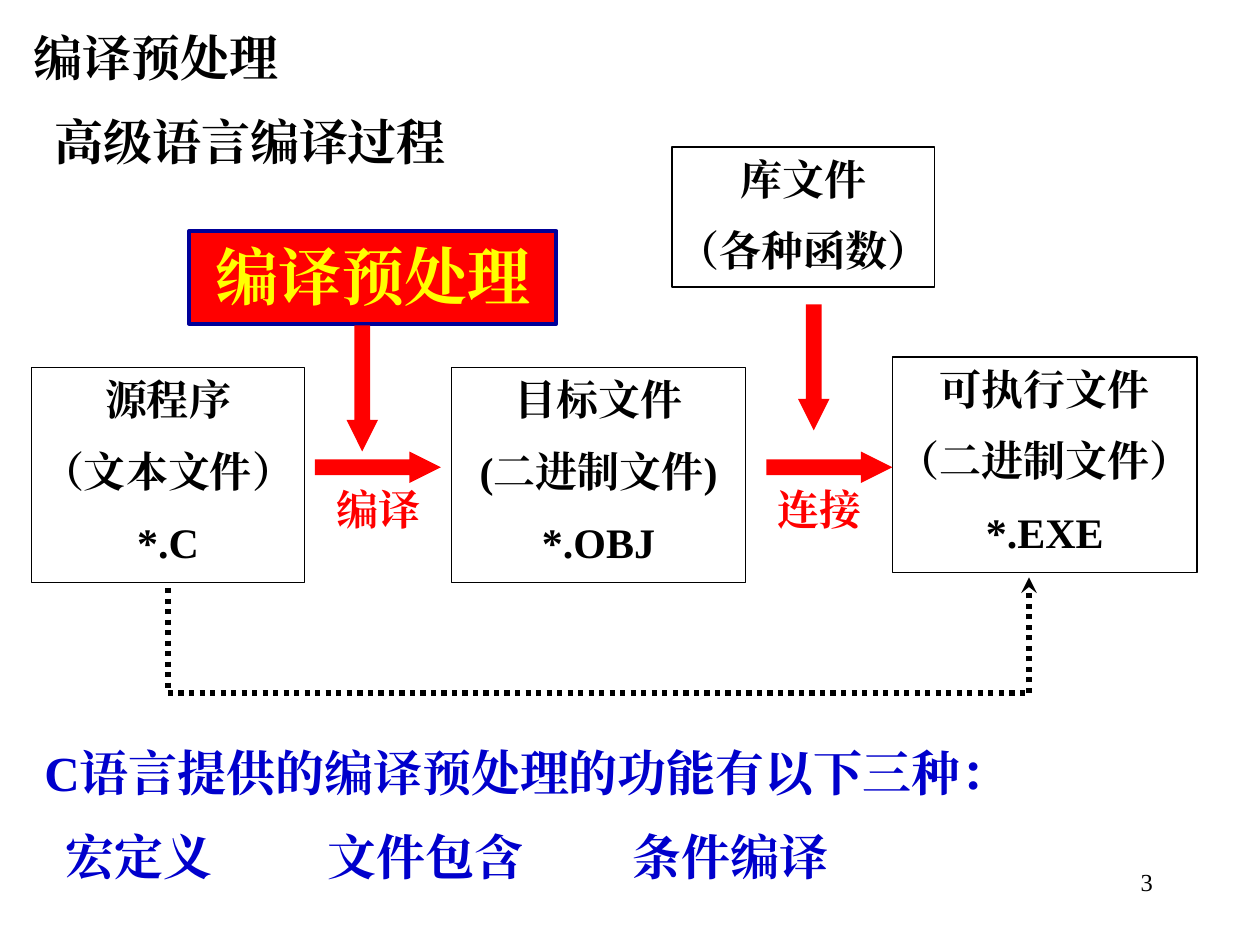
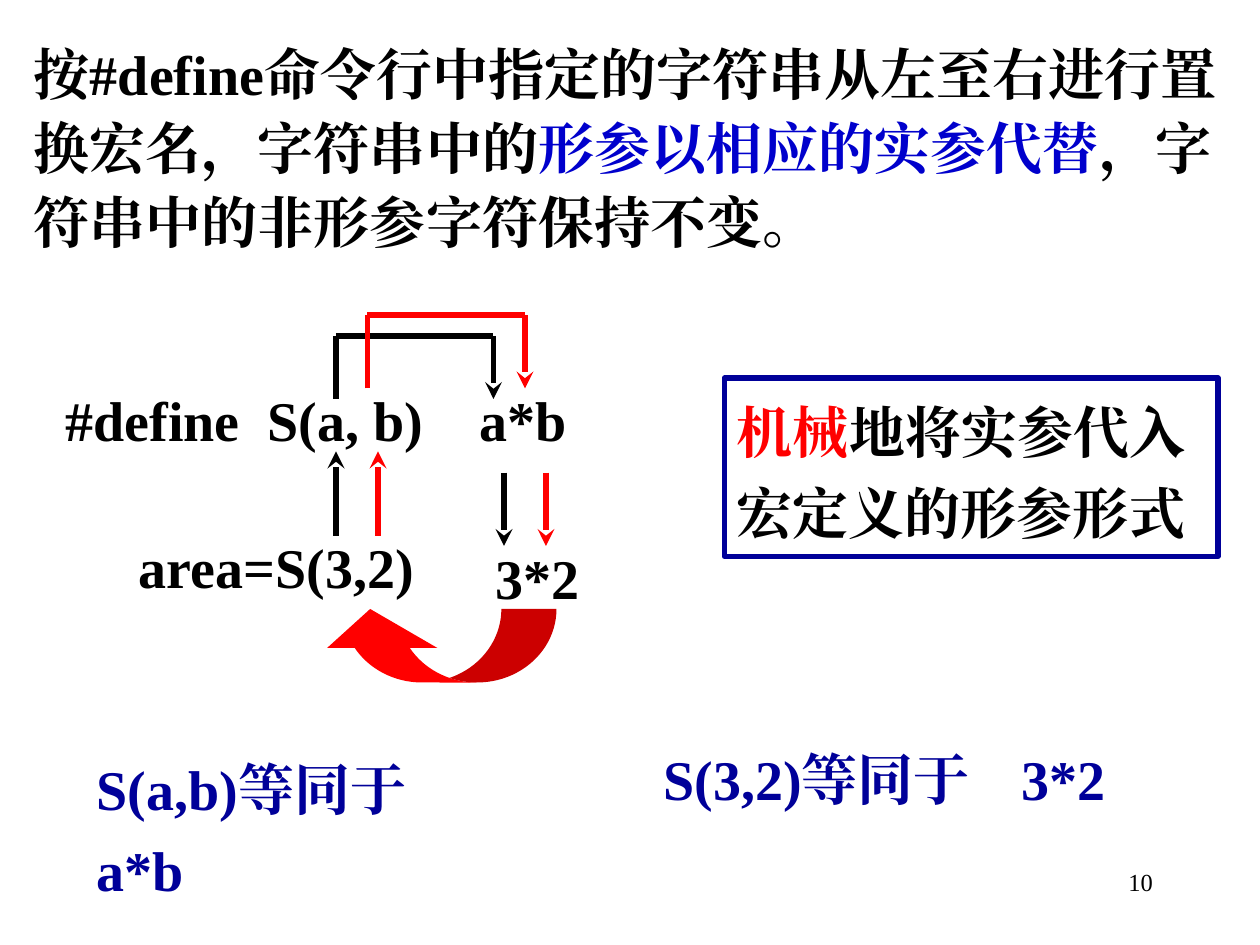
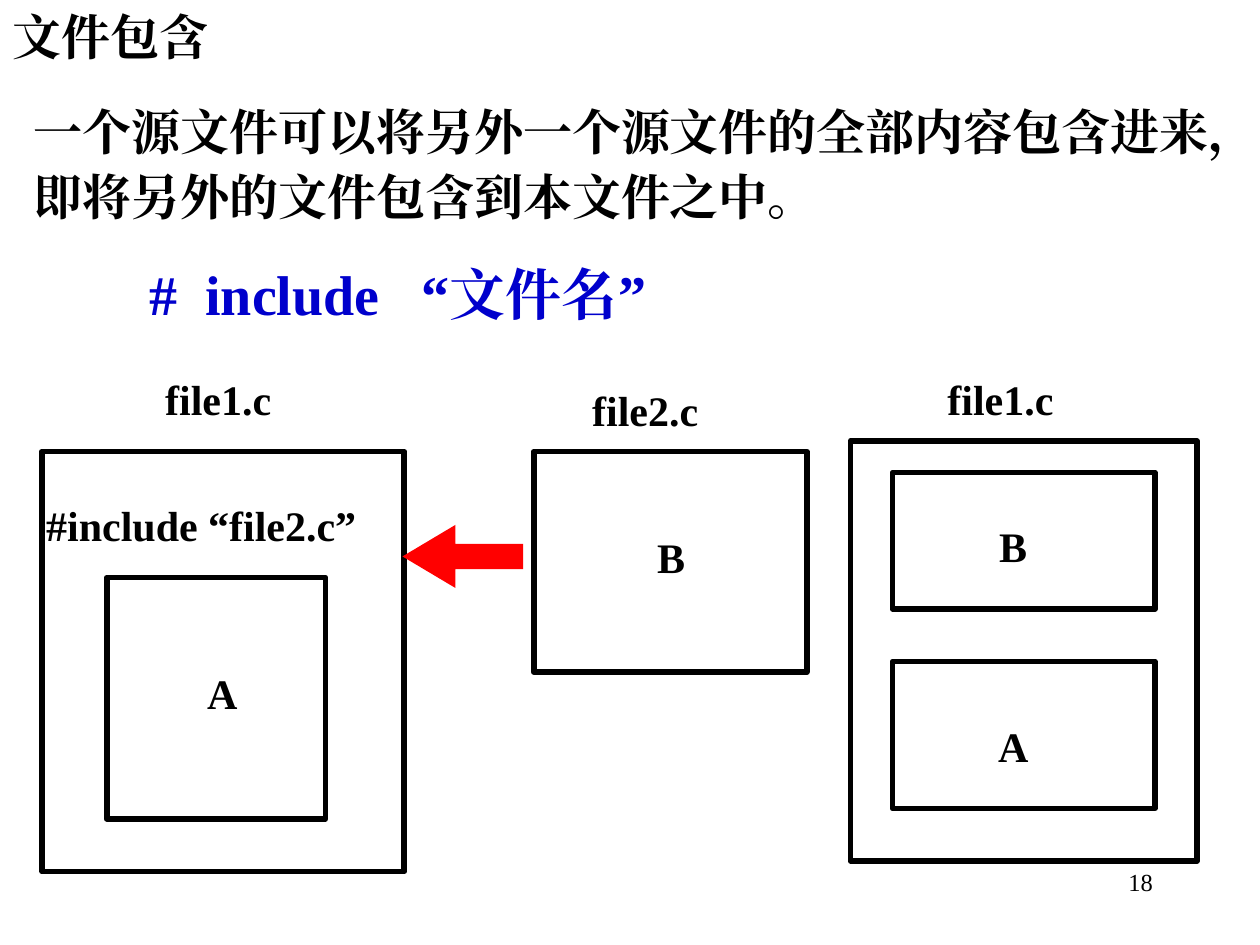
from itertools import pairwise

from pptx import Presentation
from pptx.dml.color import RGBColor as Rgb
from pptx.enum.dml import MSO_LINE_DASH_STYLE as Dash
from pptx.enum.shapes import MSO_CONNECTOR as Link, MSO_SHAPE as Shape
from pptx.enum.text import MSO_ANCHOR as Anchor, MSO_AUTO_SIZE as Fit, PP_ALIGN as Align
from pptx.oxml.ns import qn
from pptx.util import Pt

COLORS = {
    "black": "000000", "red": "FF0000", "yellow": "FFFF00",
    "blue": "0000CC", "navy": "000099",
}
FONT = "Times New Roman"
NORMAL, TIGHT, FLAT, NONE = (7.2, 3.6), (1.4, 0.7), (0, 3.6), (0, 0)
NUMBER_BOX = (516, 492, 150, 36)
BODY = {"size": 28, "inset": TIGHT, "spacing": 1.1}
CODE = BODY | {"size": 32}
LABEL = BODY | {"size": 24}
LETTER = LABEL | {"align": Align.CENTER}
STAGE = {"size": 24, "inset": FLAT, "align": Align.CENTER}
THICK = 3.25


def rgb(name):
    """Return the named colour."""
    return Rgb.from_string(COLORS[name])


def place(box, left, top, width, height):
    """Turn offsets from the corner of a box into a box on the page."""
    return box[0] + left, box[1] + top, width, height


def write(shape, paras, size=28, color="black", bold=True, align=Align.LEFT,
          inset=NORMAL, spacing=1.0, wrap=True, tab=None):
    """Fill a shape with paragraphs, each a string or a list of (text, colour)."""
    frame = shape.text_frame
    side, edge = map(Pt, inset)
    settings = {
        "word_wrap": wrap, "auto_size": Fit.NONE, "vertical_anchor": Anchor.TOP,
        "margin_left": side, "margin_right": side, "margin_top": edge, "margin_bottom": edge,
    }
    for name, value in settings.items():
        setattr(frame, name, value)
    for index, spans in enumerate(paras):
        para = frame.add_paragraph() if index else frame.paragraphs[0]
        if tab:
            stops = para._p.get_or_add_pPr().makeelement(qn("a:tabLst"), {})
            stops.append(stops.makeelement(qn("a:tab"), {"pos": str(Pt(tab)), "algn": "l"}))
            para._p.get_or_add_pPr().append(stops)
        para.alignment, para.line_spacing = align, spacing
        para.space_before = Pt(size / 2 if index else 0)
        for text, tint in [(spans, color)] if isinstance(spans, str) else spans:
            for part_index, part in enumerate(text.split("\v")):
                if part_index:
                    para.add_line_break()
                span = para.add_run()
                span.text = part
                for name, value in {"name": FONT, "size": Pt(size), "bold": bold}.items():
                    setattr(span.font, name, value)
                span.font.color.rgb = rgb(tint)
                properties = span._r.get_or_add_rPr()
                properties.append(properties.makeelement(qn("a:ea"), {"typeface": FONT}))


def add_text(page, box, *paras, **style):
    """Add a text box."""
    write(page.shapes.add_textbox(*map(Pt, box)), paras, **style)


def add_frame(page, box, *paras, line="black", width=THICK, fill=None, **style):
    """Add an outlined rectangle with optional text."""
    frame = page.shapes.add_shape(Shape.RECTANGLE, *map(Pt, box))
    frame.shadow.inherit = False
    if fill:
        frame.fill.solid()
        frame.fill.fore_color.rgb = rgb(fill)
    else:
        frame.fill.background()
    frame.line.color.rgb = rgb(line)
    frame.line.width = Pt(width)
    if paras:
        write(frame, paras, **style)


def add_arrow(page, kind, box, adjust=(0.5, 1), turn=0):
    """Add a red block arrow."""
    arrow = page.shapes.add_shape(kind, *map(Pt, box))
    arrow.shadow.inherit = False
    arrow.fill.solid()
    arrow.fill.fore_color.rgb = rgb("red")
    arrow.line.fill.background()
    arrow.rotation = turn
    for index, value in enumerate(adjust):
        arrow.adjustments[index] = value


def add_route(page, points, color="black", width=THICK, dash=None):
    """Join points by straight lines, with an arrowhead on the last one."""
    for start, end in pairwise(points):
        link = page.shapes.add_connector(Link.STRAIGHT, *map(Pt, start + end))
        link.line.color.rgb = rgb(color)
        link.line.width = Pt(width)
        if dash:
            link.line.dash_style = dash
        properties = link._element.spPr
        properties.append(properties.makeelement(qn("a:effectLst"), {}))
    line = link.line._get_or_add_ln()
    line.append(line.makeelement(qn("a:tailEnd"), {"type": "stealth"}))


def start_page(deck, number, title=None, box=None, wrap=True):
    """Add a page with its number and, if given, its title."""
    page = deck.slides.add_slide(deck.slide_layouts[5 if title else 6])
    if title:
        heading = page.shapes.title
        heading.left, heading.top, heading.width, heading.height = map(Pt, box)
        write(heading, [title], wrap=wrap)
    add_text(page, NUMBER_BOX, str(number), size=14, bold=False, align=Align.RIGHT)
    return page


def add_step(page, box, label, offset):
    """Add a right arrow with its label below."""
    add_arrow(page, Shape.RIGHT_ARROW, place(box, 0, 0, 72, 18))
    add_text(page, place(box, offset, 18, 60, 29), label,
             size=24, color="red", align=Align.CENTER, inset=NONE)


def add_compile_flow(page, box):
    """Draw the way from source file to program."""
    stages = [
        ((0, 126, 156, 123), "源程序", "（文本文件）", "*.C"),
        ((240, 126, 168, 123), "目标文件", "(二进制文件)", "*.OBJ"),
        ((492, 120, 174, 123), "可执行文件", "（二进制文件）", "*.EXE"),
        ((366, 0, 150, 80), "库文件", "（各种函数）"),
    ]
    for spot, *lines in stages:
        add_frame(page, place(box, *spot), *lines, width=0.75, **STAGE)
    left, top = box[:2]
    corners = [(78, 252), (78, 312), (570, 312), (570, 246)]
    add_route(page, [(left + x, top + y) for x, y in corners], width=3, dash=Dash.ROUND_DOT)
    add_step(page, place(box, 162, 174, 72, 47), "编译", 6)
    add_step(page, place(box, 420, 174, 72, 47), "连接", 0)
    add_arrow(page, Shape.DOWN_ARROW, place(box, 438, 90, 18, 72))
    add_frame(page, place(box, 90, 48, 210, 53), "编译预处理", line="navy", width=2.25,
              fill="red", size=36, color="yellow", align=Align.CENTER)
    add_arrow(page, Shape.DOWN_ARROW, place(box, 180, 102, 18, 72))


def add_features(page, box):
    """List the three kinds of preprocessing."""
    add_text(page, place(box, 0, 0, 570, 39), "C语言提供的编译预处理的功能有以下三种：",
             color="blue", **BODY)
    for left, width, feature in [(12, 114, "宏定义"), (162, 174, "文件包含"), (336, 174, "条件编译")]:
        add_text(page, place(box, left, 48, width, 39), feature, color="blue", **BODY)


def add_macro_example(page, box):
    """Show how arguments replace the parameters of a macro."""
    add_text(page, place(box, 0, 36, 426, 44), "#define  S(a, b)    a*b", **CODE)
    add_text(page, place(box, 42, 120, 162, 44), "area=S(3,2)", **CODE)
    add_text(page, place(box, 246, 126, 96, 44), "3*2", **CODE)
    routes = [
        ("black", (156, 48), (156, 12), (246, 12), (246, 48)),
        ("red", (174, 42), (174, 0), (264, 0), (264, 42)),
        ("black", (252, 90), (252, 132)),
        ("red", (276, 90), (276, 132)),
        ("black", (156, 126), (156, 78)),
        ("red", (180, 126), (180, 78)),
    ]
    for color, *points in routes:
        add_route(page, [(box[0] + x, box[1] + y) for x, y in points], color)
    add_arrow(page, Shape.CURVED_DOWN_ARROW, place(box, 144, 168, 138, 42),
              (0.75, 1.5, 0.53), 180)


def add_file(page, box, name, name_box, blocks=(), letters=()):
    """Draw a file with its name, inner blocks and letters."""
    add_frame(page, box)
    add_text(page, place(box, *name_box), name, **LABEL)
    for block in blocks:
        add_frame(page, place(box, *block))
    for letter, spot in letters:
        add_text(page, place(box, *spot), letter, **LETTER)


def build_process_page(deck):
    """Build the page on the compile process."""
    page = start_page(deck, 3, "编译预处理", (12, 12, 510, 41))
    add_text(page, (24, 60, 414, 41), "高级语言编译过程")
    add_compile_flow(page, (18, 84, 666, 312))
    add_features(page, (24, 420, 570, 87))


def build_macro_page(deck):
    """Build the page on macro replacement."""
    page = start_page(deck, 10)
    add_text(page, (18, 18, 684, 128), [
        ("按#define命令行中指定的字符串从左至右进行置换宏名，字符串中的", "black"),
        ("形参以相应的实参代替", "blue"),
        ("，字符串中的非形参字符保持不变。", "black"),
    ], **CODE)
    add_macro_example(page, (36, 180, 426, 210))
    add_frame(page, (414, 216, 282, 102),
              [("机械", "red"), ("地将实参代入宏定义的形参形式", "black")],
              line="navy", width=3, size=32, spacing=1.2)
    result = {"size": 32, "color": "navy", "spacing": 1.2}
    add_text(page, (48, 420, 270, 53), "S(a,b)等同于\va*b", **result)
    add_text(page, (372, 414, 270, 53), "S(3,2)等同于\t3*2", tab=204.5, **result)


def build_include_page(deck):
    """Build the page on file inclusion."""
    page = start_page(deck, 18, "文件包含", (0, 0, 127, 41), wrap=False)
    add_text(page, (18, 54, 678, 76),
             "一个源文件可以将另外一个源文件的全部内容包含进来，即将另外的文件包含到本文件之中。", **BODY)
    add_text(page, (84, 144, 360, 44), "#  include   “文件名”", color="blue", **CODE)
    add_file(page, (486, 252, 198, 240), "file1.c", (54, -42, 90, 33),
             [(24, 18, 150, 78), (24, 126, 150, 84)],
             [("B", (60, 42, 66, 33)), ("A", (60, 156, 66, 33))])
    add_file(page, (24, 258, 207, 240), "file1.c", (69, -48, 94, 33),
             [(37, 72, 125, 138)], [("A", (75, 120, 56, 33))])
    add_text(page, (25, 282, 244, 33), "#include “file2.c”", **LABEL)
    add_file(page, (305, 258, 156, 126), "file2.c", (32, -42, 94, 33),
             letters=[("B", (44, 42, 69, 33))])
    add_arrow(page, Shape.LEFT_ARROW, (230, 300, 69, 36), (0.4, 0.84))


def main():
    """Build and save the deck."""
    deck = Presentation()
    deck.slide_width, deck.slide_height = Pt(720), Pt(540)
    for build in (build_process_page, build_macro_page, build_include_page):
        build(deck)
    deck.save("out.pptx")


if __name__ == "__main__":
    main()
